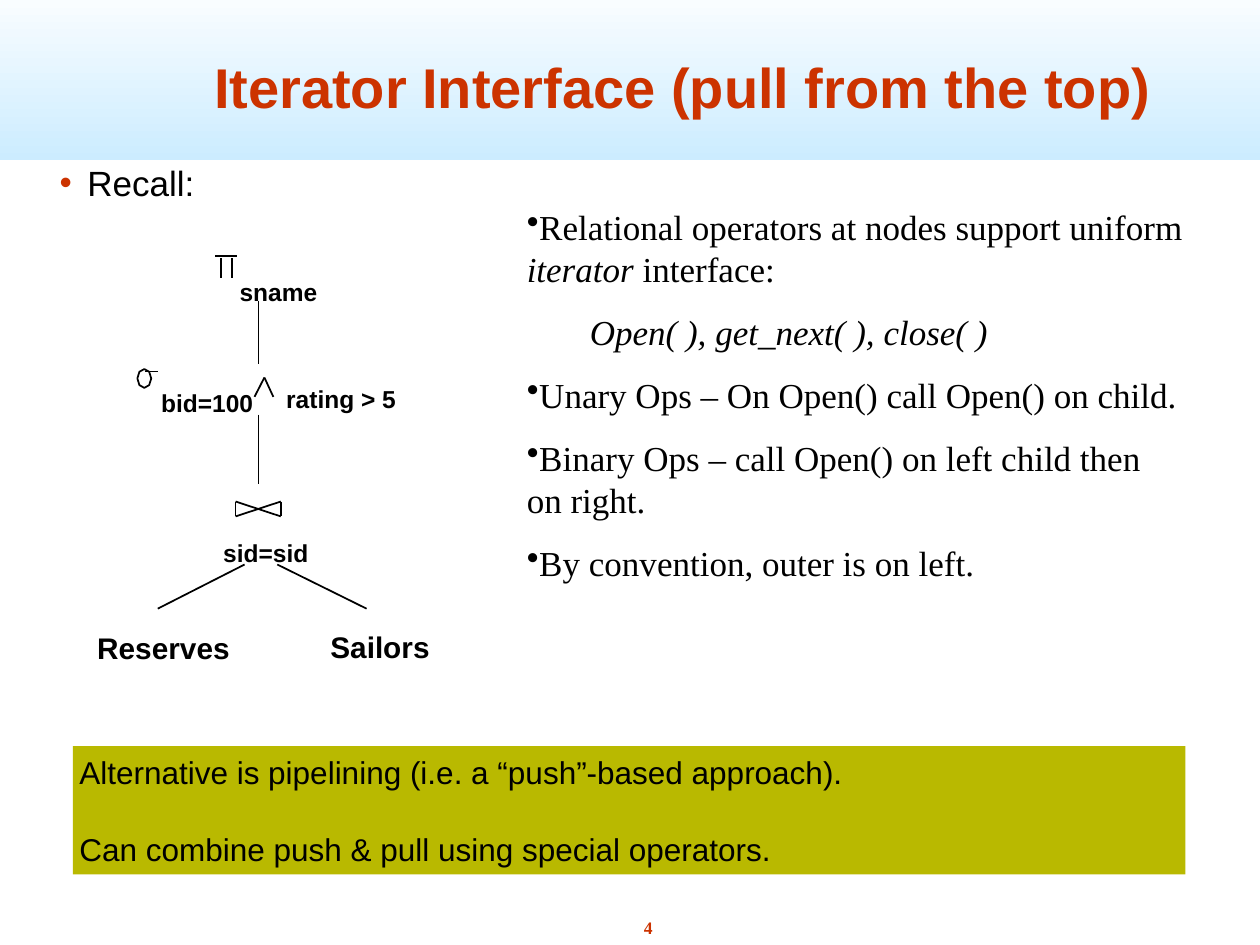
from itertools import combinations
from math import cos, pi, sin

from lxml.etree import SubElement
from pptx import Presentation
from pptx.dml.color import RGBColor
from pptx.enum.shapes import MSO_CONNECTOR as Connector, MSO_SHAPE as Shape
from pptx.enum.text import MSO_ANCHOR as Anchor, MSO_AUTO_SIZE as AutoSize, PP_ALIGN as Align
from pptx.oxml.ns import qn
from pptx.util import Cm, Pt

COLOURS = {
    "accent": "CC3300",
    "text": "000000",
    "sky": "CCECFF",
    "white": "FFFFFF",
    "note": "B9B900",
}
INSET = Cm(0.13)
SANS, SERIF = "Arial", "Times New Roman"

# text, left, top, width, height, size
TREE_LABELS = [
    ("Reserves", 1.83, 12.57, 2.95, 0.94, 17),
    ("Sailors", 6.53, 12.55, 2.29, 0.94, 17),
    ("sid=sid", 4.37, 10.72, 2.01, 0.79, 14),
    ("bid=100", 3.12, 7.7, 2.26, 0.79, 14),
    ("rating > 5", 5.64, 7.62, 2.49, 0.79, 14),
    ("sname", 4.7, 5.46, 1.85, 0.79, 14),
]

# Each paragraph: (bulleted, [(text, italic), ...])
ITERATOR_POINTS = [
    (True, [("Relational operators at nodes support uniform ", False),
            ("iterator", True), (" interface:", False)]),
    (False, [("Open( ), get_next( ), close( )", True)]),
    (True, [("Unary Ops – On Open() call Open() on child.", False)]),
    (True, [("Binary Ops – call Open() on left child then on right.", False)]),
    (True, [("By convention, outer is on left.", False)]),
]


def colour(name):
    return RGBColor.from_string(COLOURS[name])


def apply(target, values):
    for name, value in values.items():
        setattr(target, name, value)


def place(shape, left, top, width, height):
    apply(shape, {"left": Cm(left), "top": Cm(top),
                  "width": Cm(width), "height": Cm(height)})


def set_frame(frame, wrap=True, size=AutoSize.SHAPE_TO_FIT_TEXT, anchor=Anchor.TOP):
    apply(frame, {"word_wrap": wrap, "auto_size": size, "vertical_anchor": anchor,
                  "margin_left": INSET, "margin_right": INSET,
                  "margin_top": INSET, "margin_bottom": INSET})


def add_span(para, text, size, font=SANS, ink="text", bold=False, italic=False):
    span = para.add_run()
    span.text = text
    apply(span.font, {"size": Pt(size), "name": font, "bold": bold, "italic": italic})
    span.font.color.rgb = colour(ink)


def set_indent(para, margin=0, first=0, bullet=None):
    """Set the indents in cm and, if a bullet colour is named, a round bullet."""
    props = para._p.get_or_add_pPr()
    props.set("marL", str(Cm(margin)))
    props.set("indent", str(Cm(first)))
    if bullet:
        tint = SubElement(props, qn("a:buClr"))
        SubElement(tint, qn("a:srgbClr")).set("val", COLOURS[bullet])
        SubElement(props, qn("a:buChar")).set("char", "•")


def add_label(page, text, left, top, width, height, size, **style):
    box = page.shapes.add_textbox(Cm(left), Cm(top), Cm(width), Cm(height))
    set_frame(box.text_frame, wrap=False)
    para = box.text_frame.paragraphs[0]
    add_span(para, text, size, bold=True, **style)
    return para


def add_line(page, start, end):
    line = page.shapes.add_connector(Connector.STRAIGHT, *map(Cm, start + end))
    line.line.color.rgb = colour("text")
    line.line.width = Pt(1)
    SubElement(line.element.spPr, qn("a:effectLst"))


def add_rectangle(page, left, top, width, height):
    shape = page.shapes.add_shape(Shape.RECTANGLE, Cm(left), Cm(top), Cm(width), Cm(height))
    shape.shadow.inherit = False
    shape.line.fill.background()
    return shape


def add_title_band(page):
    band = add_rectangle(page, 0, -0.43, 25.4, 3.66)
    band.fill.gradient()
    band.fill.gradient_angle = 90
    for stop, name, position in zip(band.fill.gradient_stops, ("sky", "white"), (0, 1)):
        stop.color.rgb = colour(name)
        stop.position = position
    page.shapes.title.element.addprevious(band.element)


def fill_placeholders(page):
    title, body = page.placeholders
    place(title, 2.97, -0.64, 21.59, 3.18)
    set_frame(title.text_frame, size=AutoSize.NONE, anchor=Anchor.BOTTOM)
    para = title.text_frame.paragraphs[0]
    para.alignment = Align.CENTER
    add_span(para, "Iterator Interface (pull from the top)", 32, ink="accent", bold=True)

    place(body, 1.07, 3.12, 21.59, 11.43)
    set_frame(body.text_frame, size=AutoSize.NONE)
    para = body.text_frame.paragraphs[0]
    para.space_before = Pt(8)
    set_indent(para, 0.56, -0.56, bullet="accent")
    add_span(para, "Recall:", 20)


def add_iterator_points(page):
    box = page.shapes.add_textbox(Cm(10.49), Cm(4.01), Cm(13.51), Cm(7.59))
    frame = box.text_frame
    set_frame(frame)
    for index, (bulleted, spans) in enumerate(ITERATOR_POINTS):
        para = frame.add_paragraph() if index else frame.paragraphs[0]
        para.space_before = Pt(12)
        if bulleted:
            set_indent(para, bullet="text")
        else:
            para.level = 1
            set_indent(para, first=1.27)
        for text, italic in spans:
            add_span(para, text, 20, font=SERIF, italic=italic)


def add_sigma(page):
    x, y, radius_x, radius_y = 2.91, 7.63, 0.14, 0.19
    points = [(Cm(x + radius_x * cos(step * pi / 4)), Cm(y - radius_y * sin(step * pi / 4)))
              for step in range(8)]
    builder = page.shapes.build_freeform(*points[0])
    builder.add_line_segments(points[1:], close=True)
    ring = builder.convert_to_shape()
    ring.shadow.inherit = False
    ring.fill.background()
    ring.line.color.rgb = colour("text")
    ring.line.width = Pt(1)
    add_line(page, (2.92, 7.49), (3.18, 7.49))


def add_query_tree(page):
    add_sigma(page)
    projection = [((x, 5.21), (x, 5.61)) for x in (4.45, 4.67)] + [((4.34, 5.16), (4.78, 5.16))]
    corners = [(x, y) for x in (4.75, 5.66) for y in (10.11, 10.41)]
    join = [(a, b) for a, b in combinations(corners, 2) if a[0] == b[0] or a[1] != b[1]]
    conjunction = [((5.33, 7.61), (x, 8)) for x in (5.13, 5.51)]
    branches = [((4.93, 11.38), (3.18, 12.27)), ((5.59, 11.38), (7.39, 12.27))]
    stems = [((5.21, 8.36), (5.21, 9.75)), ((5.21, 6.07), (5.21, 7.34))]
    for start, end in projection + join + branches + stems + conjunction:
        add_line(page, start, end)
    for label in TREE_LABELS:
        add_label(page, *label)


def add_note(page):
    note = add_rectangle(page, 1.47, 15.04, 22.43, 2.59)
    note.fill.solid()
    note.fill.fore_color.rgb = colour("note")
    frame = note.text_frame
    set_frame(frame, anchor=Anchor.MIDDLE)
    first, second = frame.paragraphs[0], frame.add_paragraph()
    second.space_before = Pt(22)
    first.alignment = second.alignment = Align.LEFT
    add_span(first, "Alternative is pipelining (i.e. a “push”-based approach).", 18)
    add_span(second, "Can combine push & pull using special operators.", 18)


def main():
    deck = Presentation()
    deck.slide_width, deck.slide_height = Cm(25.4), Cm(19.05)
    page = deck.slides.add_slide(deck.slide_layouts[1])
    fill_placeholders(page)
    add_title_band(page)
    number = add_label(page, "4", 12.83, 18.36, 0.48, 0.69, 10, font=SERIF, ink="accent")
    number.alignment = Align.CENTER
    number.space_before = Pt(6)
    add_iterator_points(page)
    add_query_tree(page)
    add_note(page)
    deck.save("out.pptx")


if __name__ == "__main__":
    main()
